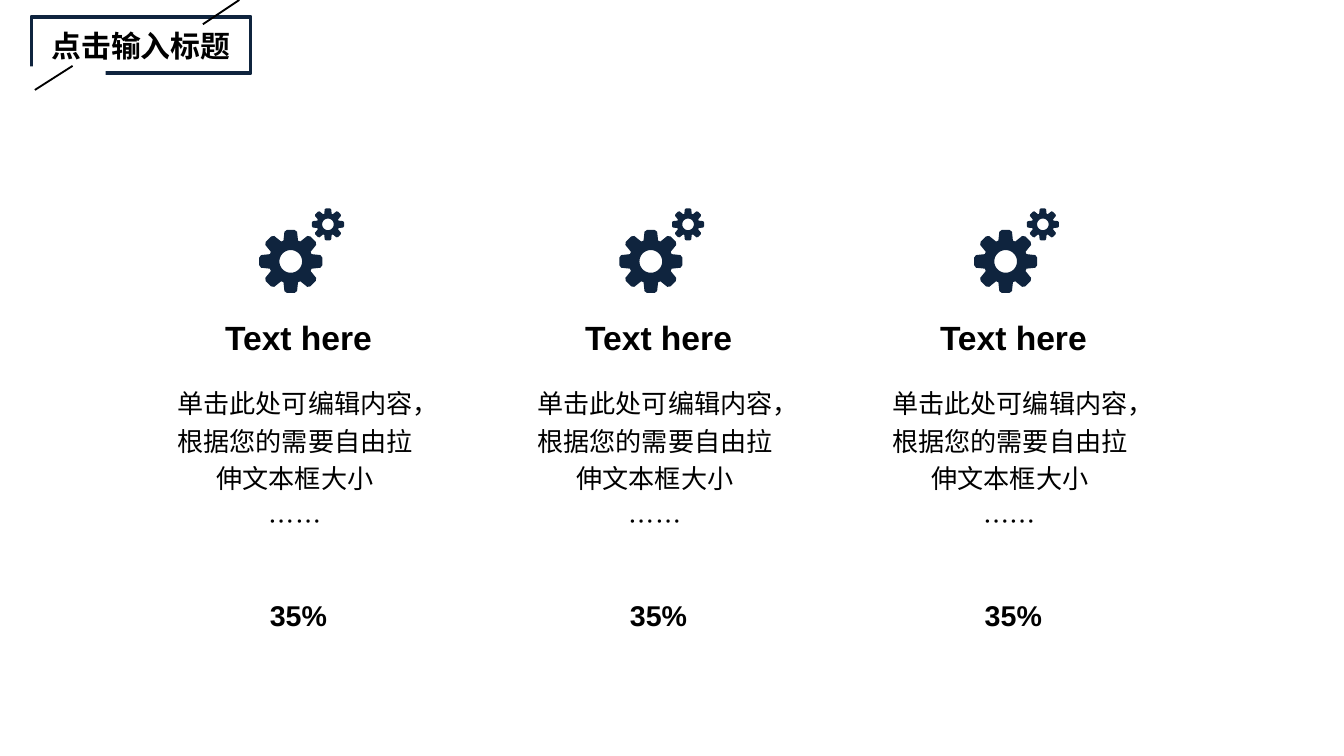
import math
import lxml.etree
import pptx
import pptx.util
import pptx.dml.color
import pptx.enum.shapes
import pptx.enum.text
import pptx.oxml.ns

Pt = pptx.util.Pt
Kind = pptx.enum.shapes.MSO_SHAPE
Align = pptx.enum.text.PP_ALIGN
Anchor = pptx.enum.text.MSO_ANCHOR
qn = pptx.oxml.ns.qn

NAVY, WHITE, BLACK = "0F243E", "FFFFFF", "000000"
HEAD = {"size": Pt(18), "bold": True, "name": "Arial"}
TITLE = {"size": Pt(16), "bold": True, "name": "Arial"}
RATE = {"size": Pt(15.3), "bold": True, "name": "Arial"}
BODY = {"size": Pt(14), "name": "Noto Sans CJK SC"}
LINES = {"line_spacing": Pt(20), "space_before": Pt(2.8)}


def tint(part, code):
    part.rgb = pptx.dml.color.RGBColor.from_string(code)


def put(part, values):
    for key, value in values.items():
        setattr(part, key, value)


def paint(shape, fill=None, line=None, width=1):
    shape.shadow.inherit = False
    if fill:
        shape.fill.solid()
        tint(shape.fill.fore_color, fill)
    else:
        shape.fill.background()
    if line:
        tint(shape.line.color, line)
        shape.line.width = Pt(width)
    else:
        shape.line.fill.background()


def write(shape, texts, font, anchor=Anchor.TOP, para={}):
    frame = shape.text_frame
    put(frame, {"word_wrap": True, "vertical_anchor": anchor})
    for index, text in enumerate(texts):
        item = frame.add_paragraph() if index else frame.paragraphs[0]
        put(item, {"alignment": Align.CENTER, **para})
        run = item.add_run()
        run.text = text
        put(run.font, font)
        tint(run.font.color, BLACK)
        east = lxml.etree.SubElement(run._r.get_or_add_rPr(), qn("a:ea"))
        east.set("typeface", font["name"])


def label(slide, box, texts, font, **more):
    write(slide.shapes.add_textbox(*map(Pt, box)), texts, font, **more)


def block(slide, kind, box, **look):
    shape = slide.shapes.add_shape(kind, *map(Pt, box))
    paint(shape, **look)
    return shape


def slash(slide, *ends):
    line = slide.shapes.add_connector(
        pptx.enum.shapes.MSO_CONNECTOR.STRAIGHT, *map(Pt, ends))
    tint(line.line.color, BLACK)
    line.line.width = Pt(1)
    lxml.etree.SubElement(line._element.spPr, qn("a:effectLst"))


def gear(slide, x, y, size):
    half = [(0.23, -0.66), (0.2, -0.94), (0.12, -1)]
    tooth = [(-a, b) for a, b in half] + half[::-1]
    rim = []
    for step in range(8):
        turn = step * math.pi / 4
        c, s = math.cos(turn), math.sin(turn)
        rim += [(a * c - b * s, a * s + b * c) for a, b in tooth]
    hole = [(0.36 * math.cos(-step * math.pi / 18),
             0.36 * math.sin(-step * math.pi / 18)) for step in range(36)]
    rim, hole = ([(Pt(x + a * size), Pt(y + b * size)) for a, b in ring]
                 for ring in (rim, hole))
    form = slide.shapes.build_freeform(*rim[0])
    form.add_line_segments(rim[1:])
    form.move_to(*hole[0])
    form.add_line_segments(hole[1:])
    paint(form.convert_to_shape(), fill=NAVY)


def banner(slide, x, y, wide, high):
    block(slide, Kind.RECTANGLE, (x, y, wide, high), line=NAVY, width=2)
    block(slide, Kind.RECTANGLE, (x - 17.3, y + 26.6, 57, 5.8), fill=WHITE)
    slash(slide, x + 111.3, y - 9, x + 91.8, y + 4)
    slash(slide, x + 22, y + 26.3, x + 1.8, y + 39.2)
    label(slide, (x - 20.5, y + 2.5, wide + 41, 26.6), ["点击输入标题"], TITLE)


def column(slide, x, y, wide):
    label(slide, (x, y + 89.3, wide, 92.2),
          ["单击此处可编辑内容，根据您的需要自由拉伸文本框大小", "……"],
          BODY, para=LINES)
    rate = block(slide, Kind.ROUNDED_RECTANGLE,
                 (x + 53.3, y + 200.2, 49, 35.3), fill=WHITE)
    write(rate, ["35%"], RATE, Anchor.MIDDLE)
    label(slide, (x + 6.5, y + 51.1, 142.6, 36), ["Text here"], HEAD,
          anchor=Anchor.MIDDLE)
    gear(slide, x + 93.6, y + 8.6, 8.6)
    gear(slide, x + 73.7, y + 28.5, 16.9)


deck = pptx.Presentation()
put(deck, {"slide_width": Pt(720), "slide_height": Pt(405)})
slide = deck.slides.add_slide(deck.slide_layouts[6])
banner(slide, 16.9, 9, 117.4, 30.2)
for left in (82.1, 275, 465.1):
    column(slide, left, 111.6, 152)
deck.save("out.pptx")
